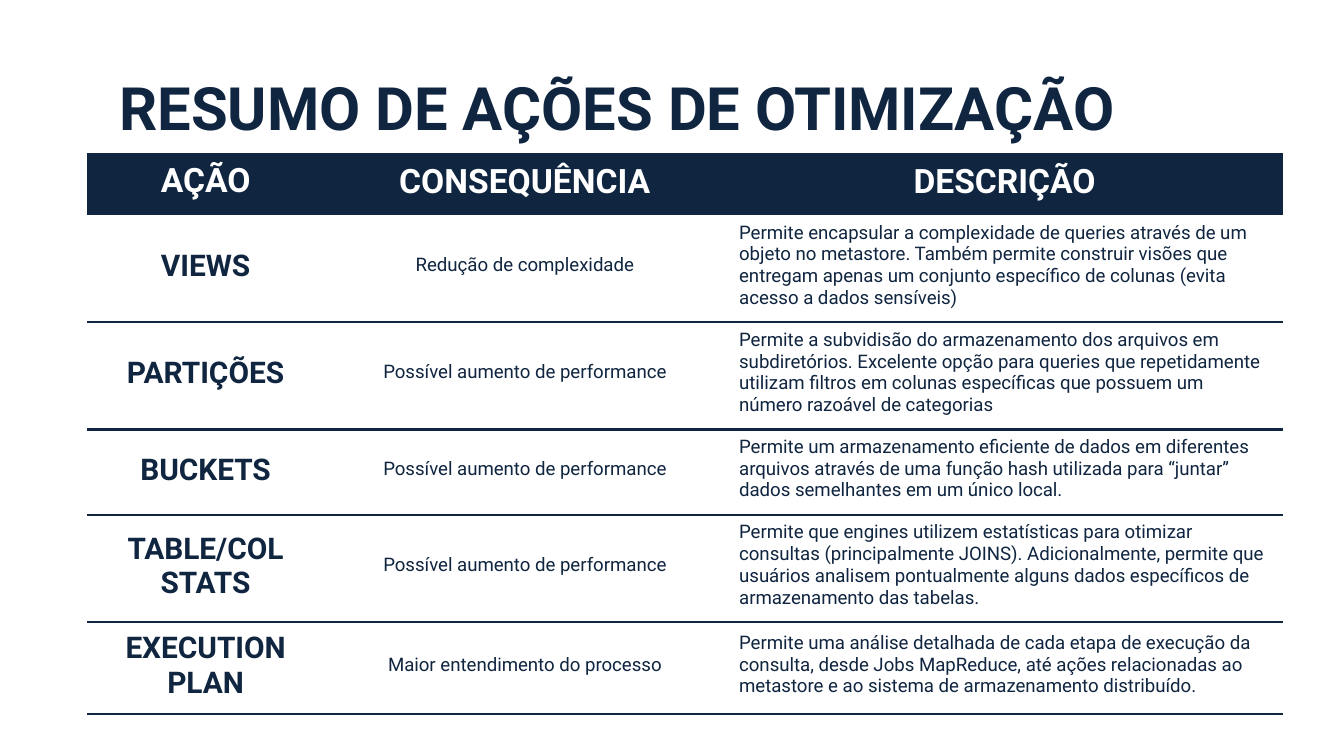
from lxml import etree
from pptx import Presentation
from pptx.dml.color import RGBColor
from pptx.enum.text import MSO_ANCHOR, PP_ALIGN
from pptx.oxml.ns import qn
from pptx.util import Inches, Pt

NAVY = RGBColor(0x10, 0x25, 0x40)
WHITE = RGBColor(0xFF, 0xFF, 0xFF)
FONT = "Roboto"
LEFT, CENTER = PP_ALIGN.LEFT, PP_ALIGN.CENTER
TOP, MIDDLE = MSO_ANCHOR.TOP, MSO_ANCHOR.MIDDLE
PLAIN = "{2D5ABB26-0587-4C30-8999-92F81FD0307C}"  # no style, no grid

COLS = [1.76, 2.99, 4.15]
HEIGHTS = [0.35, 0.48, 0.55, 0.55, 0.59, 0.62]  # least heights, text grows them
HEAD = ["AÇÃO", "CONSEQUÊNCIA", "DESCRIÇÃO"]
FASTER = "Possível aumento de performance"
ROWS = [
    ["VIEWS", "Redução de complexidade",
     "Permite encapsular a complexidade de queries através de um objeto no "
     "metastore. Também permite construir visões que entregam apenas um "
     "conjunto específico de colunas (evita acesso a dados sensíveis)"],
    ["PARTIÇÕES", FASTER,
     "Permite a subvidisão do armazenamento dos arquivos em subdiretórios. "
     "Excelente opção para queries que repetidamente utilizam filtros em "
     "colunas específicas que possuem um número razoável de categorias"],
    ["BUCKETS", FASTER,
     "Permite um armazenamento eficiente de dados em diferentes arquivos "
     "através de uma função hash utilizada para “juntar” dados semelhantes "
     "em um único local."],
    ["TABLE/COL STATS", FASTER,
     "Permite que engines utilizem estatísticas para otimizar consultas "
     "(principalmente JOINS). Adicionalmente, permite que usuários analisem "
     "pontualmente alguns dados específicos de armazenamento das tabelas."],
    ["EXECUTION PLAN", "Maior entendimento do processo",
     "Permite uma análise detalhada de cada etapa de execução da consulta, "
     "desde Jobs MapReduce, até ações relacionadas ao metastore e ao sistema "
     "de armazenamento distribuído."],
]


def style(para, size, color, bold, align):
    para.alignment = align
    font = para.font
    font.name, font.size, font.bold = FONT, Pt(size), bold
    font.color.rgb = color


def underline(cell):
    """Draw a navy border along the bottom of the cell."""
    line = etree.Element(qn("a:lnB"), w=str(Pt(1.5)))
    fill = etree.SubElement(line, qn("a:solidFill"))
    etree.SubElement(fill, qn("a:srgbClr"), val=str(NAVY))
    cell._tc.get_or_add_tcPr().insert(0, line)


def add_title(slide, left, top, width, height):
    box = slide.shapes.add_textbox(
        Inches(left), Inches(top), Inches(width), Inches(height))
    frame = box.text_frame
    frame.word_wrap = True
    frame.vertical_anchor = TOP
    frame.margin_left = frame.margin_right = Inches(0.1)
    frame.margin_top, frame.margin_bottom = Inches(0.11), Inches(0)
    para = frame.paragraphs[0]
    para.text = "RESUMO DE AÇÕES DE OTIMIZAÇÃO"
    style(para, 32, NAVY, True, LEFT)


def fill_cell(cell, text, row, col):
    head, name = row == 0, col == 0
    cell.text = text
    cell.vertical_anchor = MIDDLE
    cell.margin_left = cell.margin_right = cell.margin_bottom = Inches(0.1)
    if head:
        cell.margin_top = Pt(4.3 if name else 4.8)
        cell.fill.solid()
        cell.fill.fore_color.rgb = NAVY
    else:
        cell.margin_top = Pt(4.8 if name else 3.6)
        cell.fill.background()
        underline(cell)
    style(cell.text_frame.paragraphs[0],
          18 if head else 16 if name else 10,
          WHITE if head else NAVY,
          head or name,
          LEFT if col == 2 and not head else CENTER)


def add_grid(slide, left, top, width, height):
    data = [HEAD] + ROWS
    frame = slide.shapes.add_table(
        len(data), len(COLS), Inches(left), Inches(top),
        Inches(width), Inches(height))
    table = frame.table
    table.horz_banding = False
    table._tbl.tblPr.find(qn("a:tableStyleId")).text = PLAIN
    for col, wide in zip(table.columns, COLS):
        col.width = Inches(wide)
    for r, (texts, tall) in enumerate(zip(data, HEIGHTS)):
        table.rows[r].height = Inches(tall)
        for c, text in enumerate(texts):
            fill_cell(table.cell(r, c), text, r, c)


def main():
    deck = Presentation()
    deck.slide_width = Inches(10)
    deck.slide_height = deck.slide_width * 9 // 16
    slide = deck.slides.add_slide(deck.slide_layouts[6])
    add_grid(slide, 0.65, 1.14, 8.9, 4.27)
    add_title(slide, 0.79, 0.42, 8.42, 0.65)
    deck.save("out.pptx")


if __name__ == "__main__":
    main()
